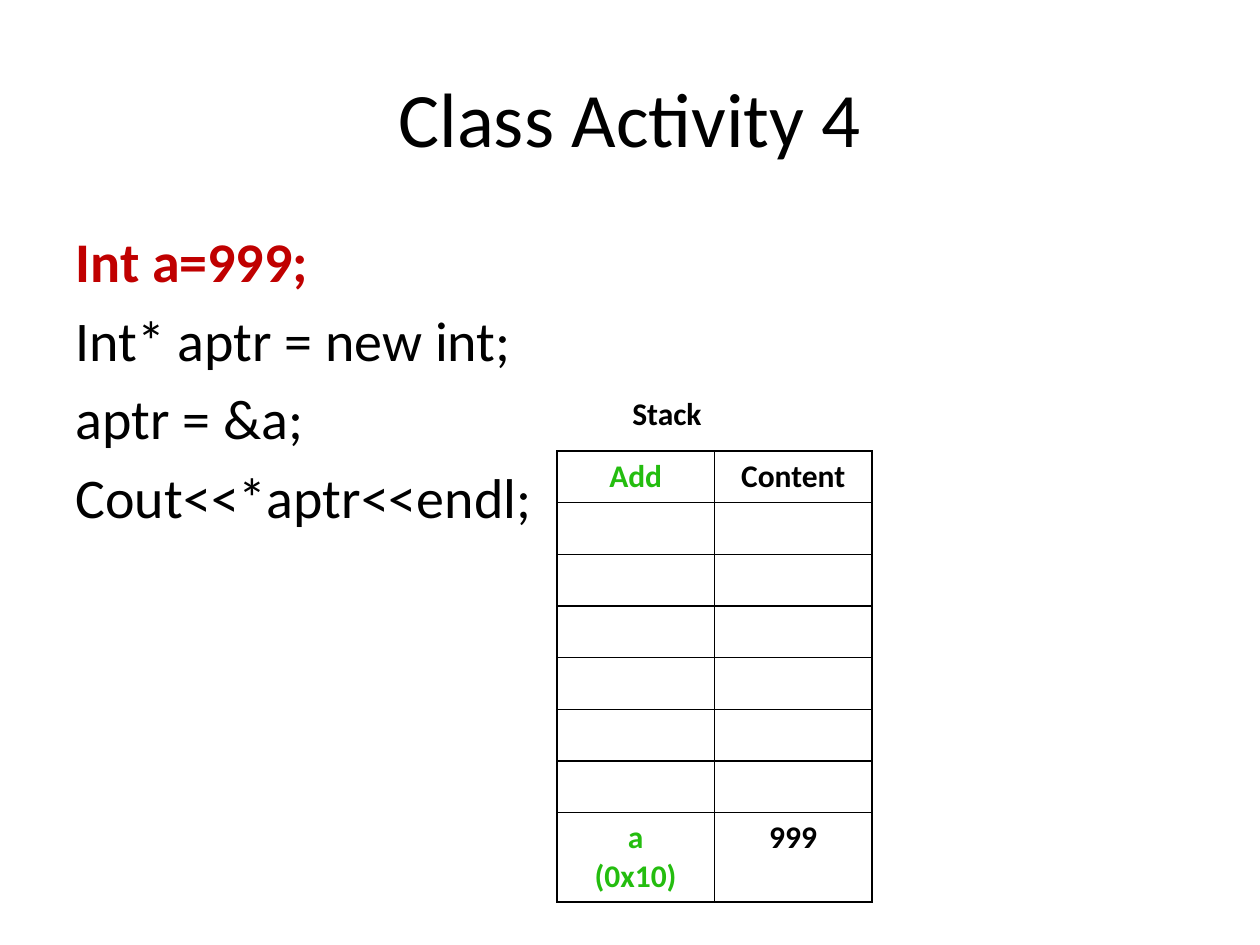
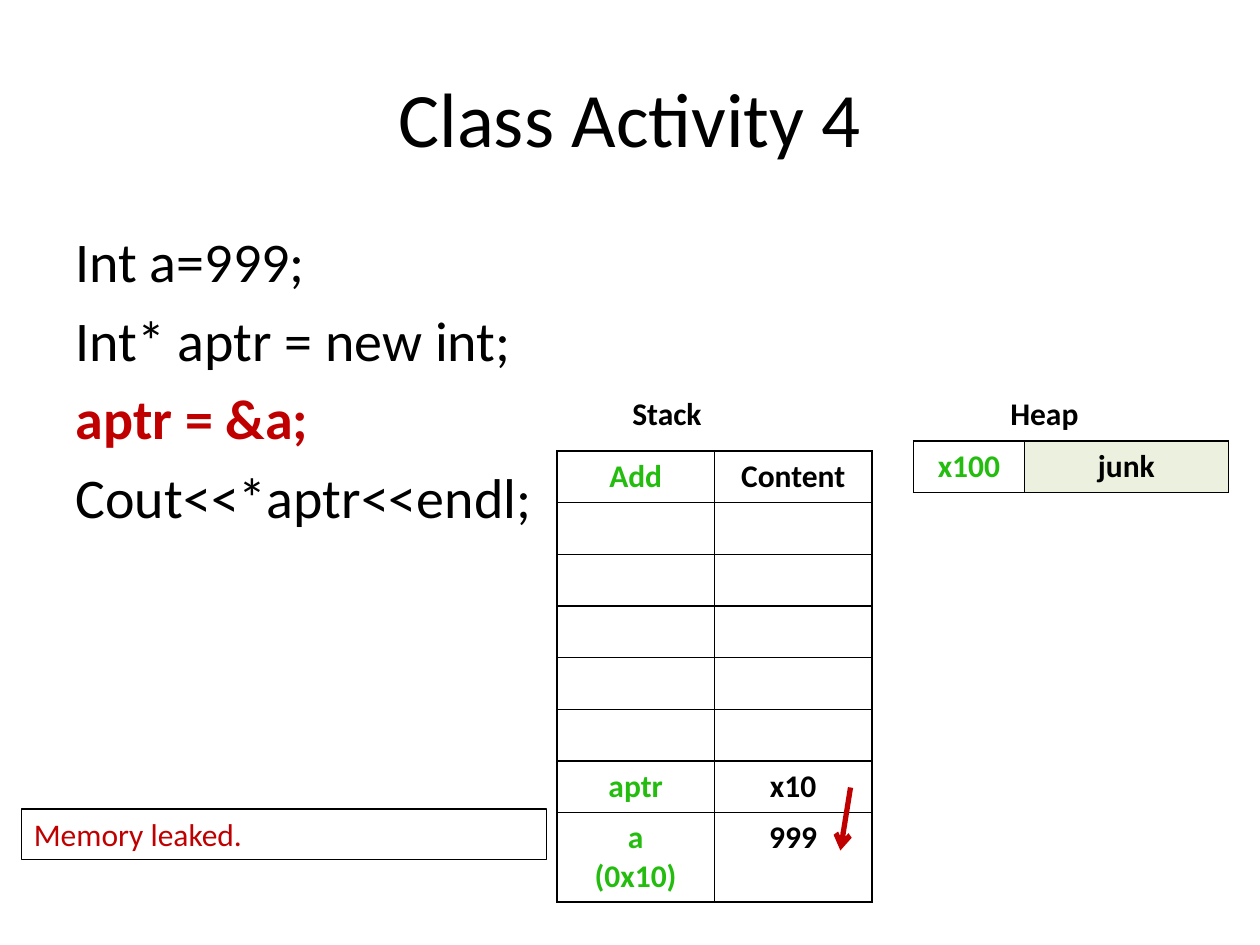
from pptx import Presentation
from pptx.dml.color import RGBColor
from pptx.enum.shapes import MSO_CONNECTOR, MSO_SHAPE
from pptx.enum.text import MSO_ANCHOR, MSO_AUTO_SIZE, PP_ALIGN
from pptx.oxml.ns import qn
from pptx.util import Inches, Pt
from lxml.etree import SubElement

COLORS = {"text": "000000", "accent": "C00000", "address": "24BD0F", "heap": "EBF1DE"}
FONT = "Calibri"
TITLE = "Class Activity 4"
CODE = ["Int a=999;", "Int* aptr = new int;", "aptr = &a;", "Cout<<*aptr<<endl;"]

STACK_ROWS = 8
STACK_HEAD = ("Add", "Content")
VAR_A = ("a\n(0x10)", "999")
VAR_APTR = ("aptr", "x10")
STACK = {"label": "Stack", "label_at": (4.92, 3.08, 0.76, 0.4),
         "at": (4.42, 3.58), "cols": (1.25, 1.25)}
HEAP = {"label": "Heap", "label_at": (7.92, 3.08, 0.74, 0.4),
        "at": (7.25, 3.5), "cols": (0.88, 1.62), "fill": "heap"}
ROW_H, EXTRA_LINE_H = 0.41, 0.3

# variables: bottom of the stack upwards
SLIDES = [
    {"active": 0, "variables": [VAR_A]},
    {"active": 2, "variables": [VAR_A, VAR_APTR],
     "heap": [("x100", "junk")],
     "pointer": (6.75, 6.25, 6.67, 6.75),
     "note": ("Memory leaked.", (0.17, 6.42, 4.17, 0.4))},
]


def rgb(name):
    return RGBColor.from_string(COLORS[name])


def inches(values):
    return [Inches(v) for v in values]


def write(tf, lines, size=18, color="text", bold=False, align=None):
    """Fill a text frame with one paragraph per line."""
    for i, line in enumerate(lines):
        p = tf.paragraphs[0] if i == 0 else tf.add_paragraph()
        if align is not None:
            p.alignment = align
        r = p.add_run()
        r.text = line
        for key, value in {"name": FONT, "size": Pt(size), "bold": bold}.items():
            setattr(r.font, key, value)
        r.font.color.rgb = rgb(color)


def place(sp, box):
    for key, value in zip(("left", "top", "width", "height"), inches(box)):
        setattr(sp, key, value)


def add_code(slide, active):
    body = slide.placeholders[1]
    place(body, (0.5, 1.75, 9, 4.95))
    write(body.text_frame, CODE, 32)
    for i, p in enumerate(body.text_frame.paragraphs):
        pPr = p._p.get_or_add_pPr()
        pPr.set("marL", "0")
        pPr.set("indent", "0")
        SubElement(pPr, qn("a:buNone"))
        if i == active:
            p.runs[0].font.bold = True
            p.runs[0].font.color.rgb = rgb("accent")


def set_borders(cell):
    tcPr = cell._tc.get_or_add_tcPr()
    for i, side in enumerate(("lnL", "lnR", "lnT", "lnB")):
        ln = tcPr.makeelement(qn(f"a:{side}"), {"w": str(Pt(1))})
        fill = SubElement(ln, qn("a:solidFill"))
        SubElement(fill, qn("a:srgbClr"), val=COLORS["text"])
        tcPr.insert(i, ln)


def add_memory(slide, region, rows):
    """Draw a labelled memory table: addresses left, contents right."""
    label = slide.shapes.add_textbox(*inches(region["label_at"]))
    label.text_frame.word_wrap = False
    write(label.text_frame, [region["label"]], bold=True)

    heights = [ROW_H + EXTRA_LINE_H * row[0].count("\n") for row in rows]
    box = (*region["at"], sum(region["cols"]), sum(heights))
    table = slide.shapes.add_table(len(rows), 2, *inches(box)).table
    table.first_row = table.horz_banding = False
    for col, width in zip(table.columns, region["cols"]):
        col.width = Inches(width)
    for r, row in enumerate(rows):
        table.rows[r].height = Inches(heights[r])
        for c, text in enumerate(row):
            cell = table.cell(r, c)
            if c == 1 and "fill" in region:
                cell.fill.solid()
                cell.fill.fore_color.rgb = rgb(region["fill"])
            else:
                cell.fill.background()
            set_borders(cell)
            if text:
                write(cell.text_frame, text.split("\n"), bold=True,
                      color="text" if c else "address", align=PP_ALIGN.CENTER)


def add_pointer(slide, ends):
    line = slide.shapes.add_connector(MSO_CONNECTOR.STRAIGHT, *inches(ends))
    line.line.width = Pt(3)
    line.line.color.rgb = rgb("accent")
    SubElement(line.line._get_or_add_ln(), qn("a:tailEnd"), type="arrow")
    SubElement(line._element.spPr, qn("a:effectLst"))


def add_note(slide, text, box):
    sp = slide.shapes.add_shape(MSO_SHAPE.RECTANGLE, *inches(box))
    sp.shadow.inherit = False
    sp.fill.background()
    sp.line.color.rgb = rgb("text")
    sp.line.width = Pt(0.75)
    tf = sp.text_frame
    for key, value in {"word_wrap": True, "vertical_anchor": MSO_ANCHOR.TOP,
                       "auto_size": MSO_AUTO_SIZE.SHAPE_TO_FIT_TEXT}.items():
        setattr(tf, key, value)
    write(tf, [text], color="accent", align=PP_ALIGN.LEFT)


def add_activity(prs, step):
    slide = prs.slides.add_slide(prs.slide_layouts[1])
    title = slide.shapes.title
    place(title, (0.5, 0.3, 9, 1.25))
    title.text_frame.vertical_anchor = MSO_ANCHOR.MIDDLE
    write(title.text_frame, [TITLE], 44, align=PP_ALIGN.CENTER)
    add_code(slide, step["active"])

    variables = step["variables"]
    unused = [("", "")] * (STACK_ROWS - 1 - len(variables))
    add_memory(slide, STACK, [STACK_HEAD, *unused, *reversed(variables)])
    if "heap" in step:
        add_memory(slide, HEAP, step["heap"])
    if "pointer" in step:
        add_pointer(slide, step["pointer"])
    if "note" in step:
        add_note(slide, *step["note"])


def main():
    prs = Presentation()
    prs.slide_width, prs.slide_height = inches((10, 7.5))
    for step in SLIDES:
        add_activity(prs, step)
    prs.save("out.pptx")


if __name__ == "__main__":
    main()
